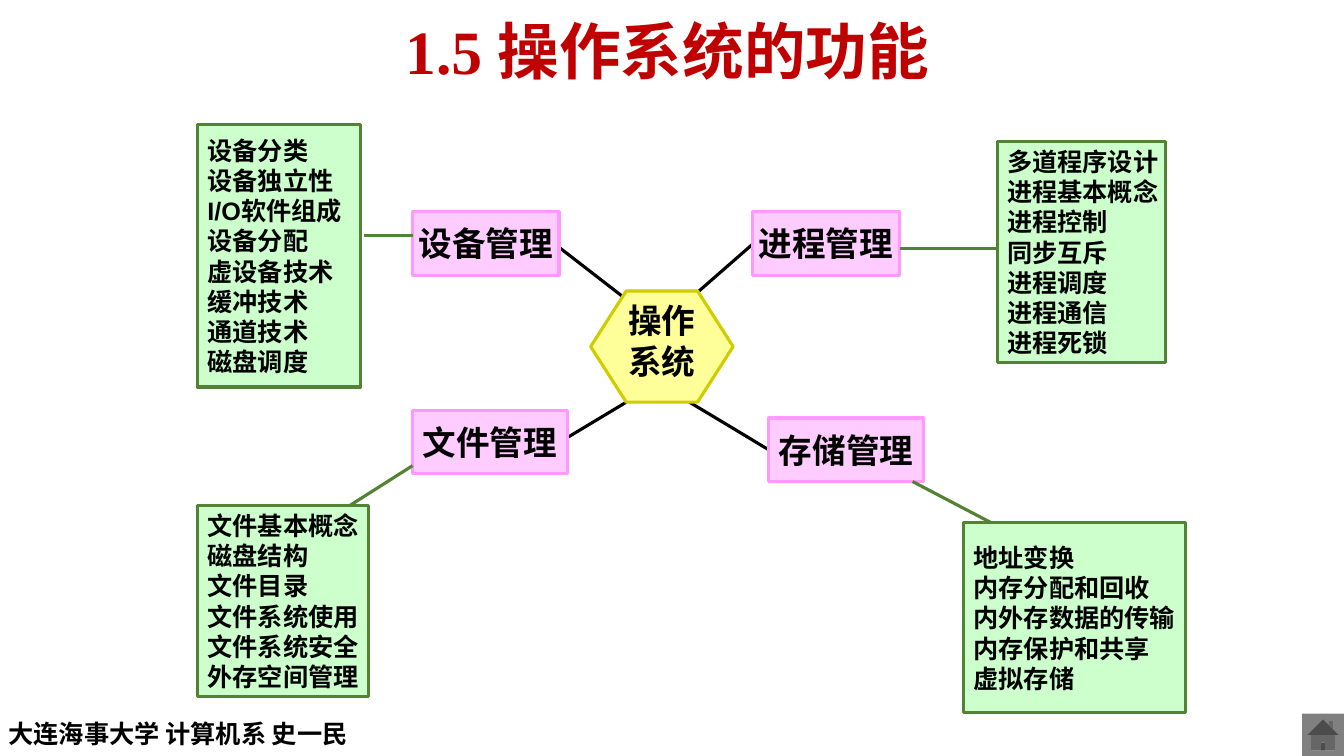
from dataclasses import dataclass

from lxml import etree
from pptx import Presentation
from pptx.dml.color import RGBColor
from pptx.enum.shapes import MSO_CONNECTOR, MSO_SHAPE
from pptx.enum.text import MSO_ANCHOR, PP_ALIGN
from pptx.oxml.ns import qn
from pptx.util import Inches, Pt

RECTANGLE = MSO_SHAPE.RECTANGLE
HEXAGON = MSO_SHAPE.HEXAGON
HOME = MSO_SHAPE.ACTION_BUTTON_HOME
STRAIGHT = MSO_CONNECTOR.STRAIGHT
MIDDLE = MSO_ANCHOR.MIDDLE
TOP = MSO_ANCHOR.TOP
LEFT = PP_ALIGN.LEFT
CENTER = PP_ALIGN.CENTER

WIDTH = Inches(13.333)
HEIGHT = Inches(7.5)
STROKE = Pt(2.25)
CJK_FONT = "Noto Sans CJK SC"
COLORS = {
    "title": "C00000",
    "black": "000000",
    "core": "FFFF99",
    "core_edge": "D1CC00",
    "branch": "FFCCFF",
    "branch_edge": "FF99FF",
    "topic": "CCFFCC",
    "topic_edge": "548235",
    "button": "808080",
}


@dataclass(frozen=True)
class Area:
    left: float
    top: float
    width: float
    height: float


@dataclass(frozen=True)
class Line:
    x1: float
    y1: float
    x2: float
    y2: float


@dataclass(frozen=True)
class Branch:
    name: str
    area: Area
    spoke: Line
    link: Line
    topic_area: Area
    topics: tuple[str, ...]


BRANCHES = (
    Branch("进程管理", Area(56, 28, 10.9, 8.4),
           Line(51.3, 39.6, 56, 32.3), Line(67, 32.9, 74.2, 32.9),
           Area(74.2, 18.7, 12.5, 29.3),
           ("多道程序设计", "进程基本概念", "进程控制", "同步互斥",
            "进程调度", "进程通信", "进程死锁")),
    Branch("设备管理", Area(30.7, 28, 10.9, 8.4),
           Line(46.6, 39.6, 41.3, 32.3), Line(30.7, 31.2, 27.1, 31.2),
           Area(14.7, 16.5, 12.1, 34.7),
           ("设备分类", "设备独立性", "I/O软件组成", "设备分配",
            "虚设备技术", "缓冲技术", "通道技术", "磁盘调度")),
    Branch("文件管理", Area(30.7, 54.3, 11.5, 8.4),
           Line(40.7, 59.5, 46.6, 53.2), Line(30.7, 61.6, 26, 66.9),
           Area(14.7, 66.9, 12.7, 25.2),
           ("文件基本概念", "磁盘结构", "文件目录", "文件系统使用",
            "文件系统安全", "外存空间管理")),
    Branch("存储管理", Area(57.2, 55.3, 11.5, 8.4),
           Line(57.2, 59.5, 51.3, 53.2), Line(67.9, 63.7, 73.7, 69.1),
           Area(71.7, 69.1, 16.5, 25.2),
           ("地址变换", "内存分配和回收", "内外存数据的传输",
            "内存保护和共享", "虚拟存储")),
)


def across(percent: float) -> int:
    return round(WIDTH * percent / 100)


def down(percent: float) -> int:
    return round(HEIGHT * percent / 100)


def place(area: Area) -> tuple[int, int, int, int]:
    return across(area.left), down(area.top), across(area.width), down(area.height)


def color(name: str) -> RGBColor:
    return RGBColor.from_string(COLORS[name])


def write(box, lines: tuple[str, ...], *, size: float, font: str = "Arial",
          ink: str = "black", align=CENTER, anchor=MIDDLE,
          wrap: bool = False, spacing: float = 1.0) -> None:
    frame = box.text_frame
    frame.word_wrap = wrap
    frame.vertical_anchor = anchor
    for index, line in enumerate(lines):
        para = frame.add_paragraph() if index else frame.paragraphs[0]
        para.alignment = align
        para.line_spacing = spacing
        span = para.add_run()
        span.text = line
        span.font.size = Pt(size)
        span.font.bold = True
        span.font.color.rgb = color(ink)
        span.font.name = font
        east_asian = etree.Element(qn("a:ea"), typeface=CJK_FONT)
        span.font._element.find(qn("a:latin")).addnext(east_asian)


def add_box(page, kind, area: Area, fill: str, edge: str | None = None):
    box = page.shapes.add_shape(kind, *place(area))
    box.shadow.inherit = False
    box.fill.solid()
    box.fill.fore_color.rgb = color(fill)
    if edge:
        box.line.color.rgb = color(edge)
        box.line.width = STROKE
    else:
        box.line.fill.background()
    return box


def add_line(page, line: Line, ink: str) -> None:
    connector = page.shapes.add_connector(
        STRAIGHT, across(line.x1), down(line.y1), across(line.x2), down(line.y2))
    connector.line.color.rgb = color(ink)
    connector.line.width = STROKE
    etree.SubElement(connector._element.spPr, qn("a:effectLst"))


def add_core(page) -> None:
    core = add_box(page, HEXAGON, Area(43.95, 38.5, 10.6, 14.7), "core", "core_edge")
    core.adjustments[0] = 0.32
    core.adjustments[1] = 1.155
    core.text_frame.margin_bottom = Inches(0.17)
    write(core, ("操作", "系统"), size=24)


def main() -> None:
    deck = Presentation()
    deck.slide_width = WIDTH
    deck.slide_height = HEIGHT
    page = deck.slides.add_slide(deck.slide_layouts[6])

    title = page.shapes.add_textbox(*place(Area(16.8, 0.5, 65.7, 13.5)))
    write(title, ("1.5 操作系统的功能",), size=44, font="Times New Roman",
          ink="title", wrap=True, spacing=0.9)

    for branch in BRANCHES:
        add_line(page, branch.spoke, "black")
    add_core(page)
    for branch in BRANCHES:
        box = add_box(page, RECTANGLE, branch.area, "branch", "branch_edge")
        write(box, (branch.name,), size=24)
    for branch in BRANCHES:
        add_line(page, branch.link, "topic_edge")
        box = add_box(page, RECTANGLE, branch.topic_area, "topic", "topic_edge")
        write(box, branch.topics, size=18, align=LEFT)

    add_box(page, HOME, Area(96.88, 94.4, 3.12, 5.6), "button")
    footer = page.shapes.add_textbox(*place(Area(-0.1, 94.4, 31.4, 5.4)))
    write(footer, ("大连海事大学 计算机系 史一民",), size=18, font=CJK_FONT,
          align=LEFT, anchor=TOP, wrap=True)

    deck.save("out.pptx")


if __name__ == "__main__":
    main()
